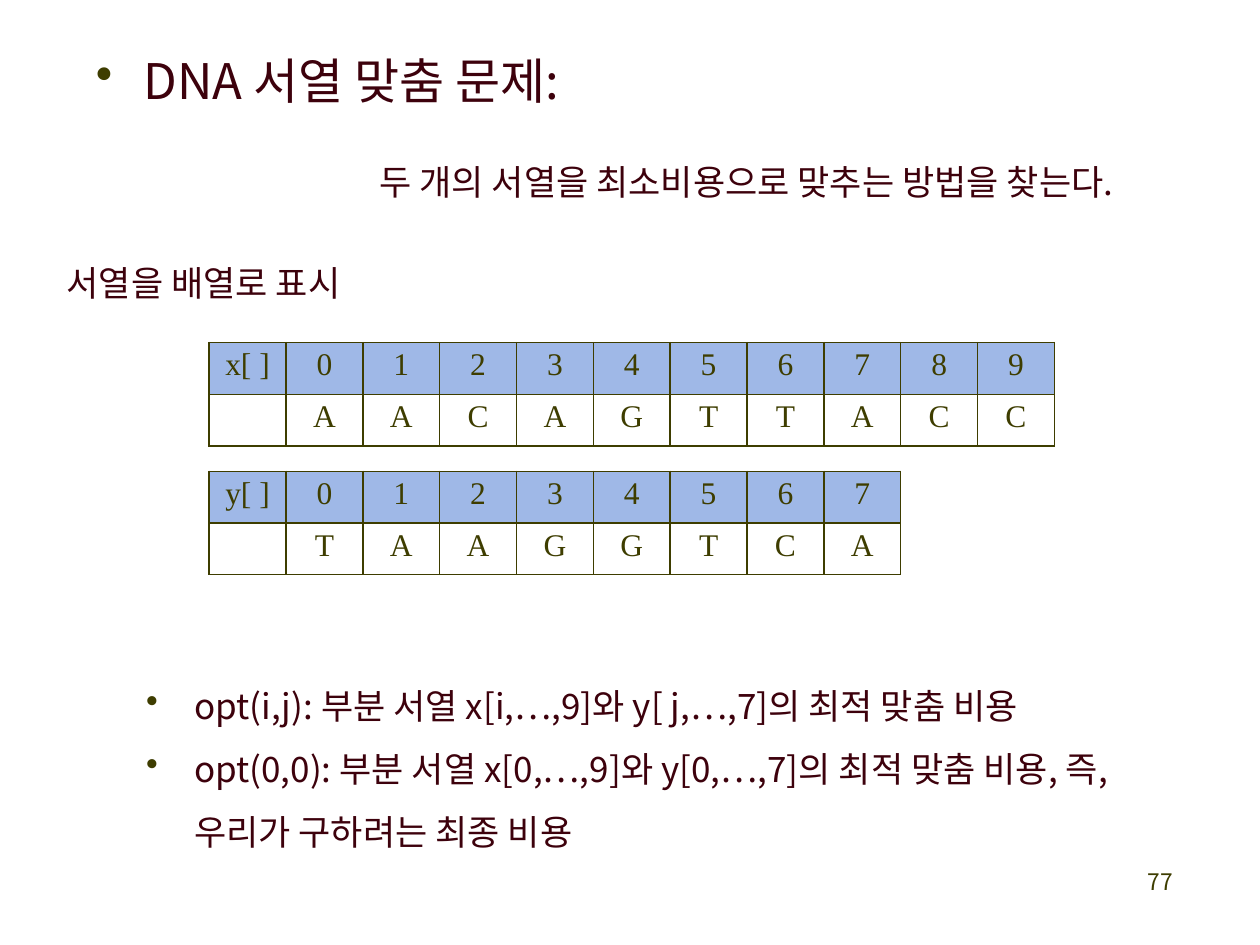
from lxml import etree
from pptx import Presentation
from pptx.dml.color import RGBColor
from pptx.enum.text import MSO_AUTO_SIZE, PP_ALIGN
from pptx.oxml.ns import qn
from pptx.util import Inches, Pt

CENTER = PP_ALIGN.CENTER
GROW = MSO_AUTO_SIZE.SHAPE_TO_FIT_TEXT

OLIVE = RGBColor(0x3E, 0x3D, 0x00)
WINE = RGBColor(0x3D, 0x01, 0x0C)
BLUE = RGBColor(0x9F, 0xB8, 0xE7)

SANS = "Noto Sans CJK KR"
SERIF = "Times New Roman"
SIDE = 0.61  # cell width
ROW = 0.41   # cell height


def add_node(parent, tag, **attrs):
    return etree.SubElement(parent, qn(tag), **attrs)


def add_color(parent, tag, color):
    add_node(add_node(parent, tag), "a:srgbClr", val=str(color))


def style(para, font, size, color):
    for run in para.runs:
        run.font.name = font
        run.font.size = Pt(size)
        run.font.color.rgb = color
        add_node(run.font._element, "a:ea", typeface=font)


def indent(para, left, first=0):
    props = para._p.get_or_add_pPr()
    props.set("marL", str(Inches(left)))
    props.set("indent", str(Inches(first)))


def add_bullet(para, left, hang):
    indent(para, left, -hang)
    props = para._p.get_or_add_pPr()
    add_color(props, "a:buClr", OLIVE)
    add_node(props, "a:buChar", char="•")


def add_box(slide, left, top, width, height, lines, inset=0):
    box = slide.shapes.add_textbox(
        Inches(left), Inches(top), Inches(width), Inches(height))
    frame = box.text_frame
    frame.word_wrap = True
    frame.auto_size = GROW
    frame.margin_left = frame.margin_right = frame.margin_bottom = 0
    frame.margin_top = Inches(inset)
    frame.text = "\n".join(lines)
    return frame.paragraphs


def add_border(cell):
    props = cell._tc.get_or_add_tcPr()
    for tag in ("a:lnL", "a:lnR", "a:lnT", "a:lnB"):
        line = add_node(props, tag, w=str(Pt(1)))
        add_color(line, "a:solidFill", OLIVE)


def fill_cell(cell, text, head):
    cell.margin_left = cell.margin_right = cell.margin_bottom = 0
    cell.margin_top = Inches(0.04)
    add_border(cell)
    if head:
        cell.fill.solid()
        cell.fill.fore_color.rgb = BLUE
    else:
        cell.fill.background()
    cell.text = text
    para = cell.text_frame.paragraphs[0]
    para.alignment = CENTER
    style(para, SERIF, 18, OLIVE)


def add_array(slide, top, name, bases):
    """Draw a sequence as an index row above a row of bases."""
    count = len(bases) + 1
    table = slide.shapes.add_table(
        2, count, Inches(1.66), Inches(top),
        Inches(SIDE * count), Inches(2 * ROW)).table
    table.first_row = table.horz_banding = False
    for col in table.columns:
        col.width = Inches(SIDE)
    for row in table.rows:
        row.height = Inches(ROW)
    heads = [f"{name}[ ]", *map(str, range(len(bases)))]
    for i, texts in enumerate((heads, ["", *bases])):
        for j, text in enumerate(texts):
            fill_cell(table.cell(i, j), text, i == 0)


def add_intro(slide):
    head, goal, note = add_box(slide, 0.52, 0.39, 8.98, 2.04, [
        "DNA 서열 맞춤 문제:",
        "두 개의 서열을 최소비용으로 맞추는 방법을 찾는다.",
        "서열을 배열로 표시"], 0.01)
    add_bullet(head, 0.62, 0.38)
    style(head, SANS, 28, WINE)
    for para, left, gap in ((goal, 2.49, 29.6), (note, 0.01, 33.4)):
        indent(para, left)
        para.space_before = Pt(gap)
        style(para, SANS, 20, WINE)


def add_costs(slide):
    paras = add_box(slide, 1.15, 5.25, 7.81, 1.53, [
        "opt(i,j): 부분 서열 x[i,…,9]와 y[ j,…,7]의 최적 맞춤 비용",
        "opt(0,0): 부분 서열 x[0,…,9]와 y[0,…,7]의 최적 맞춤 비용, "
        "즉, 우리가 구하려는 최종 비용"], 0.18)
    for para in paras:
        add_bullet(para, 0.39, 0.38)
        style(para, SANS, 20, WINE)
    paras[1].line_spacing = 1.5


def add_number(slide):
    para = add_box(slide, 9.07, 6.9, 0.3, 0.21, ["77"])[0]
    indent(para, 0.04)
    para.line_spacing = Pt(14.7)
    style(para, SANS, 13, OLIVE)


def main():
    deck = Presentation()
    deck.slide_width, deck.slide_height = Inches(10), Inches(7.5)
    slide = deck.slides.add_slide(deck.slide_layouts[6])

    # Problem statement
    add_intro(slide)
    # Sequences as arrays
    add_array(slide, 2.72, "x", "AACAGTTACC")
    add_array(slide, 3.74, "y", "TAAGGTCA")
    # Cost definitions and page number
    add_costs(slide)
    add_number(slide)

    deck.save("out.pptx")


if __name__ == "__main__":
    main()
